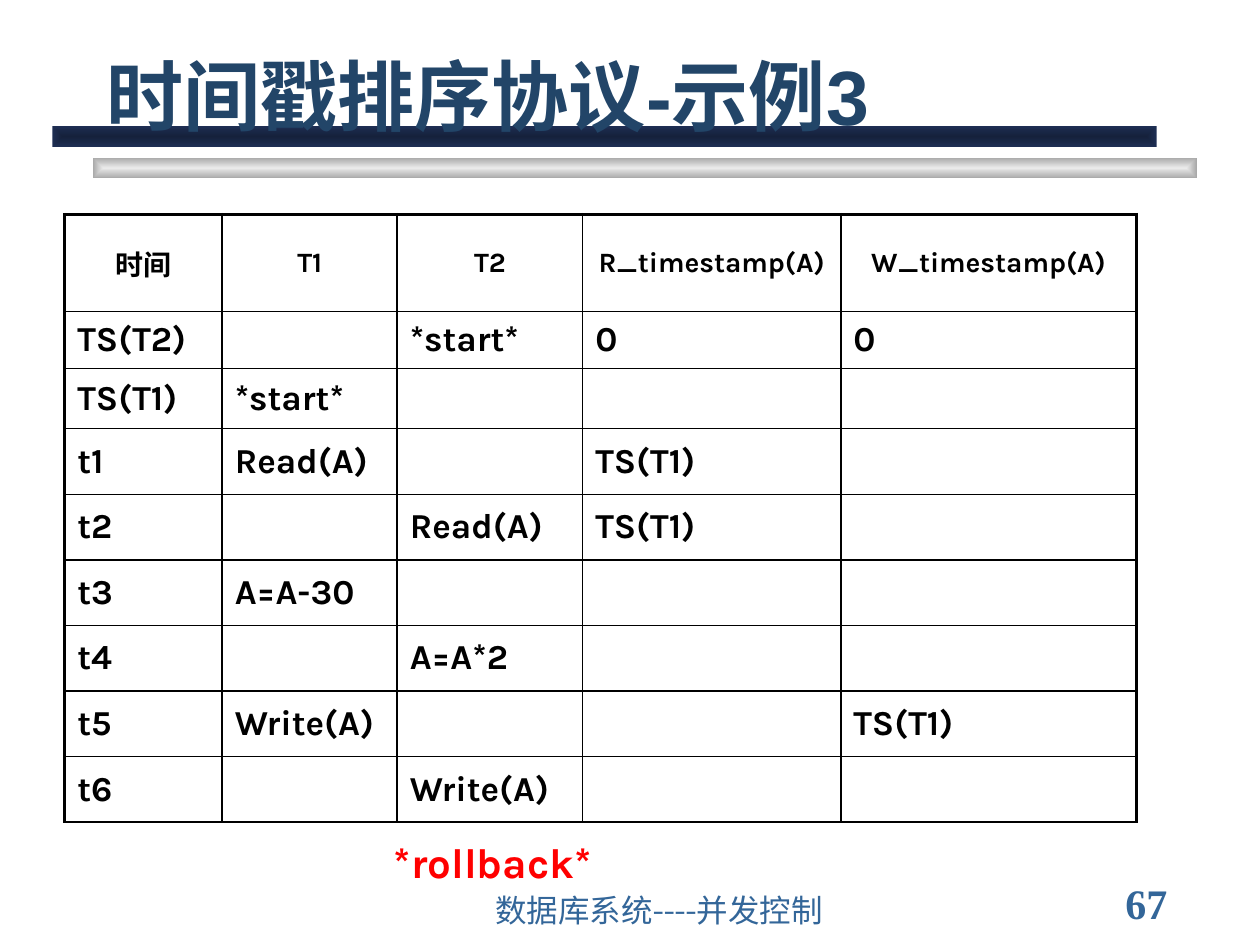
from lxml.etree import SubElement
from pptx import Presentation
from pptx.dml.color import RGBColor
from pptx.enum.shapes import MSO_SHAPE
from pptx.enum.text import MSO_ANCHOR, PP_ALIGN
from pptx.oxml import parse_xml
from pptx.oxml.ns import nsdecls, qn
from pptx.util import Pt

COLORS = {
    "title": "224568", "footer": "336699", "ink": "000000", "alert": "FF0000",
    "silver": "EAEAEA", "silver_edge": "A7A7A7",
    "navy": "15213B", "navy_edge": "1E2E53",
}
COLUMN_WIDTHS = [90, 100, 106, 147.5, 169]
ROW_HEIGHTS = [55.5, 32.5, 34.5] + [37.5] * 6
SCHEDULE = [
    ["时间", "T1", "T2", "R_timestamp(A)", "W_timestamp(A)"],
    ["TS(T2)", "", "*start*", "0", "0"],
    ["TS(T1)", "*start*", "", "", ""],
    ["t1", "Read(A)", "", "TS(T1)", ""],
    ["t2", "", "Read(A)", "TS(T1)", ""],
    ["t3", "A=A-30", "", "", ""],
    ["t4", "", "A=A*2", "", ""],
    ["t5", "Write(A)", "", "", "TS(T1)"],
    ["t6", "", "Write(A)", "", ""],
]


def write(frame, text, size, color="ink", font="Karla", bold=True,
          align=PP_ALIGN.LEFT):
    paragraph = frame.paragraphs[0]
    paragraph.alignment = align
    run = paragraph.add_run()
    run.text = text
    run.font.size = Pt(size)
    run.font.name = font
    run.font.bold = bold
    run.font.color.rgb = RGBColor.from_string(COLORS[color])


def add_label(slide, box, text, anchor=MSO_ANCHOR.TOP, **style):
    frame = slide.shapes.add_textbox(*map(Pt, box)).text_frame
    frame.word_wrap = True
    frame.vertical_anchor = anchor
    write(frame, text, **style)


def add_bar(slide, box, center, edge):
    bar = slide.shapes.add_shape(MSO_SHAPE.RECTANGLE, *map(Pt, box))
    bar.shadow.inherit = False
    bar.line.fill.background()
    gradient = parse_xml(
        f'<a:gradFill {nsdecls("a")} rotWithShape="1"><a:gsLst>'
        f'<a:gs pos="0"><a:srgbClr val="{COLORS[center]}"/></a:gs>'
        f'<a:gs pos="100000"><a:srgbClr val="{COLORS[edge]}"/></a:gs>'
        '</a:gsLst><a:path path="rect">'
        '<a:fillToRect l="50000" t="50000" r="50000" b="50000"/>'
        '</a:path></a:gradFill>')
    bar._element.spPr.find(qn("a:prstGeom")).addnext(gradient)


def add_header(slide, left, top, width, height):
    bar_width, bar_height = width - 23, 12
    add_bar(slide, (left + 23, top + height - bar_height, bar_width, bar_height),
            "silver", "silver_edge")
    add_bar(slide, (left, top + height - 30, bar_width, bar_height),
            "navy", "navy_edge")
    add_label(slide, (left + 24, top, 612, 66), "时间戳排序协议-示例3",
              MSO_ANCHOR.BOTTOM, size=44, color="title", font="Arial")


def set_borders(cell, widths):
    properties = cell._tc.get_or_add_tcPr()
    for side, width in widths.items():
        line = SubElement(properties, qn(f"a:ln{side}"), w=str(Pt(width)))
        fill = SubElement(line, qn("a:solidFill"))
        SubElement(fill, qn("a:srgbClr"), val=COLORS["ink"])


def add_schedule(slide, left, top):
    table = slide.shapes.add_table(
        len(ROW_HEIGHTS), len(COLUMN_WIDTHS), Pt(left), Pt(top),
        Pt(sum(COLUMN_WIDTHS)), Pt(sum(ROW_HEIGHTS))).table
    table.first_row = table.horz_banding = False
    for column, width in zip(table.columns, COLUMN_WIDTHS):
        column.width = Pt(width)
    for row, height in zip(table.rows, ROW_HEIGHTS):
        row.height = Pt(height)
    last = len(COLUMN_WIDTHS) - 1
    for r, entries in enumerate(SCHEDULE):
        for c, entry in enumerate(entries):
            cell = table.cell(r, c)
            cell.vertical_anchor = MSO_ANCHOR.MIDDLE
            set_borders(cell, {"L": 2 if c == 0 else 1, "R": 2 if c == last else 1,
                               "T": 2 if r == 0 else 1, "B": 1})
            cell.fill.background()
            if entry:
                write(cell.text_frame, entry, size=20 if r else 16,
                      align=PP_ALIGN.LEFT if r else PP_ALIGN.CENTER)


def add_footer(slide, left, top, width, height):
    add_label(slide, (left, top + 6, 294, height - 6), "数据库系统----并发控制",
              MSO_ANCHOR.BOTTOM, size=18, color="footer", bold=False)
    add_label(slide, (left + width - 78, top, 78, height - 6), "67",
              MSO_ANCHOR.MIDDLE, size=24, color="footer", font="Times New Roman")


def main():
    deck = Presentation()
    deck.slide_width, deck.slide_height = Pt(720), Pt(540)
    slide = deck.slides.add_slide(deck.slide_layouts[6])
    add_header(slide, 30, 18, 654, 84)
    add_footer(slide, 276, 504, 438, 30)
    add_schedule(slide, 37, 122.5)
    add_label(slide, (218, 474.5, 142.5, 36), "*rollback*", size=24, color="alert")
    deck.save("out.pptx")


if __name__ == "__main__":
    main()
